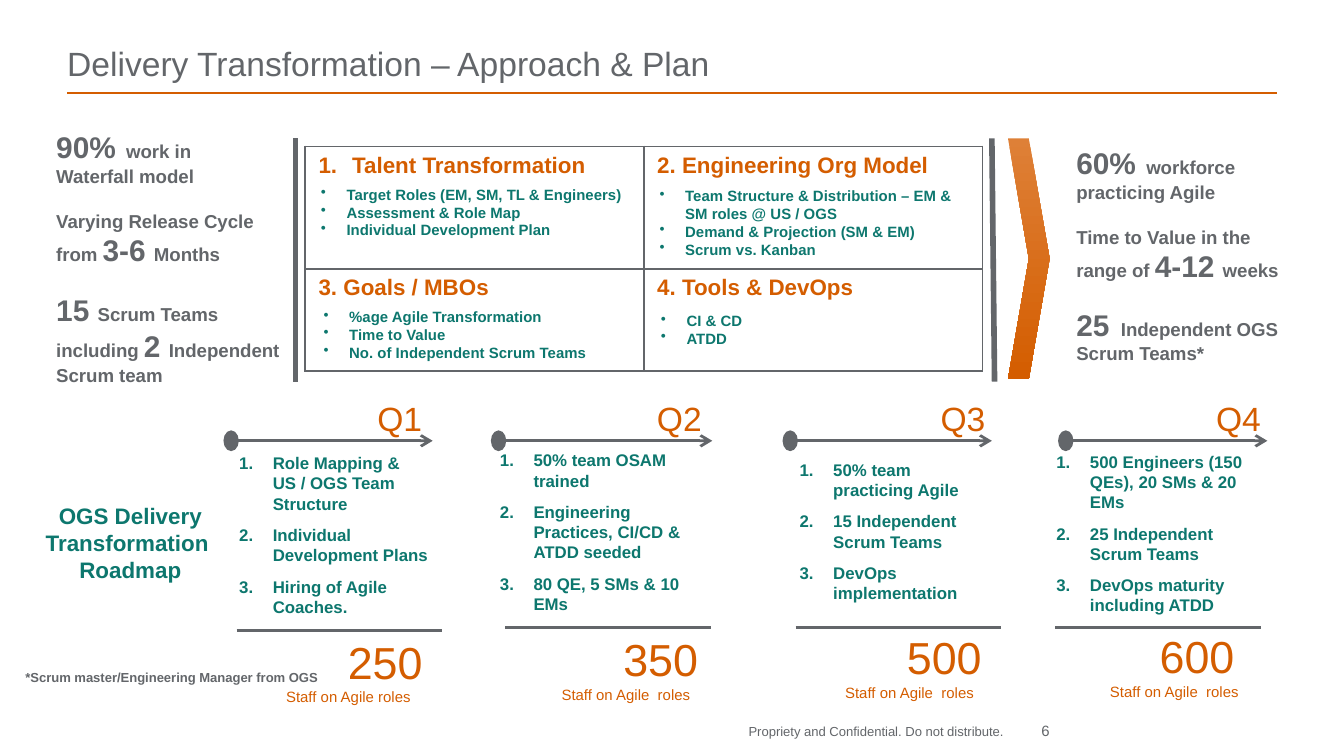
from lxml import etree
from pptx import Presentation
from pptx import util as u
from pptx.dml.color import RGBColor
from pptx.enum import shapes as kinds, text as t
from pptx.oxml import ns

# Content
GREY, ORANGE, GREEN = "63666A", "D45D00", "0D776E"
TITLE = "Delivery Transformation – Approach & Plan"
# Each paragraph is a list of (text, size) runs
TODAY = [
    [("90%", 16), ("  work in", 10)],
    [("Waterfall model", 10)],
    [("Varying Release Cycle from ", 10), ("3-6 ", 16), ("Months", 10)],
    [("15 ", 16), ("Scrum Teams including ", 10), ("2 ", 16),
     ("Independent Scrum team", 10)],
]
TARGET = [
    [("60%", 16), ("  workforce practicing Agile", 10)],
    [("Time to Value in the range of ", 10), ("4-12 ", 16), ("weeks", 10)],
    [("25 ", 16), (" ", 6), ("Independent OGS Scrum Teams*", 10)],
]
# Heading, left and top of the list, list items
PILLARS = [
    [("Talent Transformation ", 2.29, 1.33,
      ["Target Roles (EM, SM, TL & Engineers)", "Assessment & Role Map ",
       "Individual Development Plan"]),
     ("2. Engineering Org Model ", 4.81, 1.34,
      ["Team Structure & Distribution – EM & SM roles @ US / OGS",
       "Demand & Projection (SM & EM)", "Scrum vs. Kanban"])],
    [("3. Goals / MBOs", 2.31, 2.24,
      ["%age Agile Transformation", "Time to Value",
       "No. of Independent Scrum Teams"]),
     ("4. Tools & DevOps", 4.82, 2.27, ["CI & CD ", "ATDD"])],
]
# arrow: left, length; steps: left, top, width; rule: left, top
# staff: left, top, width, indent of the number; label: left
QUARTERS = [
    dict(name="Q1", label=2.71, arrow=(1.77, 1.45), steps=(1.58, 3.32, 1.84),
         rule=(1.76, 4.69), staff=(2.03, 4.67, 1.29, 0.46), number="250",
         unit="Staff on Agile roles",
         items=["Role Mapping & US / OGS Team Structure ",
                "Individual Development Plans", "Hiring of Agile Coaches."]),
    dict(name="Q2", label=4.79, arrow=(3.76, 1.54), steps=(3.52, 3.3, 1.87),
         rule=(3.76, 4.67), staff=(4.08, 4.65, 1.23, 0.46), number="350",
         unit="Staff on Agile  roles",
         items=["50% team OSAM trained",
                "Engineering Practices, CI/CD & ATDD seeded",
                "80 QE, 5 SMs & 10 EMs"]),
    dict(name="Q3", label=6.9, arrow=(5.93, 1.45), steps=(5.75, 3.37, 1.7),
         rule=(5.92, 4.67), staff=(6.19, 4.64, 1.26, 0.46), number="500",
         unit="Staff on Agile  roles",
         items=["50% team practicing Agile", "15 Independent Scrum Teams",
                "DevOps implementation"]),
    dict(name="Q4", label=8.95, arrow=(7.98, 1.45), steps=(7.66, 3.31, 1.89),
         rule=(7.85, 4.67), staff=(8.16, 4.63, 1.28, 0.37), number="600",
         unit="Staff on Agile  roles",
         items=["500 Engineers (150 QEs), 20 SMs & 20 EMs",
                "25 Independent Scrum Teams", "DevOps maturity including ATDD"]),
]

# A 16:9 slide
presentation = Presentation()
presentation.slide_width = u.Inches(10)
presentation.slide_height = presentation.slide_width * 9 // 16
slide = presentation.slides.add_slide(presentation.slide_layouts[5])


# Helpers
def inches(*lengths):
    return [u.Inches(length) for length in lengths]


def rgb(colour):
    return RGBColor.from_string(colour)


def apply(target, values):
    for name, value in values.items():
        setattr(target, name, value)


def write(frame, paragraphs, size=10, colour=GREY, bold=False, before=0,
          align=t.PP_ALIGN.LEFT, bullet=None, indent=0.0):
    for index, runs in enumerate(paragraphs):
        paragraph = frame.paragraphs[0] if index == 0 else frame.add_paragraph()
        apply(paragraph, dict(alignment=align, space_before=u.Pt(before)))
        for words, points in [(runs, size)] if isinstance(runs, str) else runs:
            run = paragraph.add_run()
            run.text = words
            apply(run.font, dict(name="Arial", size=u.Pt(points), bold=bold))
            run.font.color.rgb = rgb(colour)
        if bullet:
            properties = paragraph._p.get_or_add_pPr()
            properties.set("marL", str(u.Inches(indent)))
            properties.set("indent", str(-u.Inches(indent)))
            if bullet == "1.":
                etree.SubElement(properties, ns.qn("a:buAutoNum"), type="arabicPeriod")
            else:
                etree.SubElement(properties, ns.qn("a:buChar"), char=bullet)


def add_text(box, paragraphs, inset=(0.1, 0.05), wrap=True, **style):
    frame = slide.shapes.add_textbox(*inches(*box)).text_frame
    side, edge = inches(*inset)
    apply(frame, dict(word_wrap=wrap, margin_left=side, margin_right=side,
                      margin_top=edge, margin_bottom=edge))
    write(frame, paragraphs, **style)
    return frame


def add_line(start, end, width, colour=GREY, parent=slide.shapes, arrow=False):
    line = parent.add_connector(kinds.MSO_CONNECTOR.STRAIGHT, *inches(*start, *end))
    line.line.width = u.Pt(width)
    line.line.color.rgb = rgb(colour)
    if arrow:
        etree.SubElement(line.line._get_or_add_ln(), ns.qn("a:tailEnd"), type="arrow")
    etree.SubElement(line._element.spPr, ns.qn("a:effectLst"))


def add_border(cell, width):
    properties = cell._tc.get_or_add_tcPr()
    for side in "LRTB":
        border = etree.SubElement(properties, ns.qn("a:ln" + side), w=str(u.Pt(width)))
        fill = etree.SubElement(border, ns.qn("a:solidFill"))
        etree.SubElement(fill, ns.qn("a:srgbClr"), val=GREY)


# Title and footer
title = slide.shapes.title
apply(title, dict(zip(("left", "top", "width", "height"), inches(0.5, 0.12, 9, 0.5))))
apply(title.text_frame, dict(margin_left=0, margin_right=0, margin_top=0, margin_bottom=0,
                             vertical_anchor=t.MSO_ANCHOR.BOTTOM, word_wrap=True))
write(title.text_frame, [TITLE], size=18)
add_line((0.5, 0.69), (9.5, 0.69), 1, ORANGE)
add_text((5.57, 5.38, 2.08, 0.19), ["Propriety and Confidential. Do not distribute."],
         inset=(0, 0), wrap=False, size=7)
add_text((7.48, 5.37, 0.33, 0.12), ["6"], inset=(0, 0), size=8, align=t.PP_ALIGN.RIGHT)

# Pillars table with its lists
table = slide.shapes.add_table(2, 2, *inches(2.27, 1.09, 5.04, 1.67)).table
apply(table, dict(first_row=False, horz_banding=False))
for row, height, pillars in zip(table.rows, (0.91, 0.76), PILLARS):
    row.height = u.Inches(height)
    for cell, (heading, left, top, items) in zip(row.cells, pillars):
        add_border(cell, 1)
        cell.fill.background()
        numbered = "1." if heading == PILLARS[0][0][0] else None
        write(cell.text_frame, [heading], size=12, colour=ORANGE, bold=True,
              bullet=numbered, indent=0.25)
        add_text((left, top, 2.47, 0.5), items, size=8, colour=GREEN, bold=True,
                 bullet="•", indent=0.19)

# From today to the target
add_line((2.2, 1.03), (2.2, 2.84), 3)
add_line((7.38, 1.03), (7.4, 2.84), 3)
chevron = slide.shapes.add_shape(kinds.MSO_SHAPE.CHEVRON, *inches(7.5, 1.03, 0.31, 1.79))
chevron.shadow.inherit = False
chevron.line.fill.background()
chevron.fill.gradient()
chevron.fill.gradient_angle = 270
for stop, colour in zip(chevron.fill.gradient_stops, ("DE8037", ORANGE)):
    stop.color.rgb = rgb(colour)
for box, facts in (((0.32, 0.91, 1.87, 2.03), TODAY), ((7.91, 1.03, 1.82, 1.75), TARGET)):
    frame = add_text(box, facts, bold=True, before=12)
    if facts is TODAY:
        frame.paragraphs[1].space_before = u.Pt(0)
        frame.paragraphs[3].space_before = u.Pt(13)

# Roadmap by quarter
add_text((0.23, 3.69, 1.48, 0.71), ["OGS Delivery Transformation ", "Roadmap"],
         size=12, colour=GREEN, bold=True, align=t.PP_ALIGN.CENTER)
AXIS = 3.28
for quarter in QUARTERS:
    left, length = quarter["arrow"]
    timeline = slide.shapes.add_group_shape()
    add_line((left, AXIS), (left + length, AXIS), 1.5, parent=timeline.shapes, arrow=True)
    dot = timeline.shapes.add_shape(kinds.MSO_SHAPE.OVAL,
                                    *inches(left - 0.1, AXIS - 0.07, 0.1, 0.14))
    dot.shadow.inherit = False
    dot.fill.solid()
    dot.fill.fore_color.rgb = dot.line.color.rgb = rgb(GREY)
    dot.line.width = u.Pt(1)

    add_text((quarter["label"], 2.91, 0.6, 0.4), [quarter["name"]], size=18, colour=ORANGE)
    add_text((*quarter["steps"], 1.33), quarter["items"], inset=(0.2, 0.05), size=9,
             colour=GREEN, bold=True, before=6, bullet="1.", indent=0.25)
    left, top = quarter["rule"]
    add_line((left, top), (left + 1.53, top), 1.5)
    left, top, width, indent = quarter["staff"]
    frame = add_text((left, top, width, 0.64),
                     [[(quarter["number"], 24)], quarter["unit"]], size=8, colour=ORANGE)
    frame.paragraphs[0]._p.get_or_add_pPr().set("marL", str(u.Inches(indent)))

# Footnote
add_text((0.09, 4.93, 2.42, 0.22), ["*Scrum master/Engineering Manager from OGS"],
         wrap=False, size=7, bold=True)

presentation.save("out.pptx")
